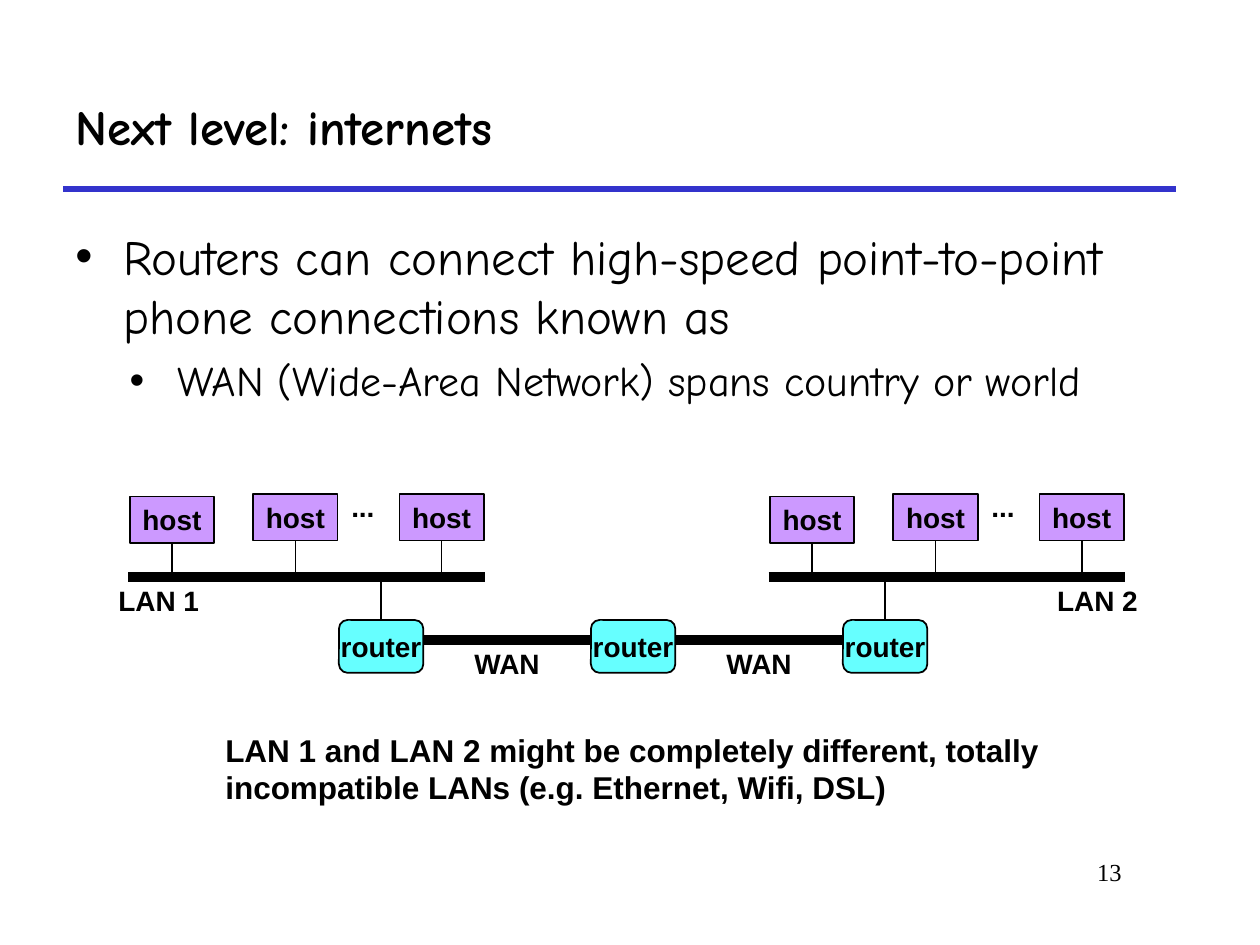
from pptx import Presentation
from pptx.dml.color import RGBColor
from pptx.enum.shapes import MSO_CONNECTOR, MSO_SHAPE
from pptx.enum.text import MSO_ANCHOR, PP_ALIGN
from pptx.oxml.ns import qn
from pptx.util import Inches, Pt
from lxml import etree

LEFT, CENTER, RIGHT = PP_ALIGN.LEFT, PP_ALIGN.CENTER, PP_ALIGN.RIGHT
TOP, MIDDLE = MSO_ANCHOR.TOP, MSO_ANCHOR.MIDDLE
RECT, ROUND = MSO_SHAPE.RECTANGLE, MSO_SHAPE.ROUNDED_RECTANGLE
STRAIGHT = MSO_CONNECTOR.STRAIGHT

THEME = {
    "ink": "000000", "rule": "3333CC", "host": "CC99FF", "router": "66FFFF",
    "head": "Comic Neue", "label": "Arial", "number": "Times New Roman",
    "title": 28, "body": 28, "sub": 24, "note": 18, "small": 16, "page": 14,
    "thin": 1, "mid": 3, "thick": 6,
}

TITLE = "Next level: internets"
# text, size, left indent, space before
POINTS = [
    ("Routers can connect high-speed point-to-point phone connections known as",
     THEME["body"], 0.38, 0),
    ("WAN (Wide-Area Network) spans country or world", THEME["sub"], 0.81, 6),
]
NOTE = ("LAN 1 and LAN 2 might be completely different, totally "
        "incompatible LANs (e.g. Ethernet, Wifi, DSL)")
PAGE = "13"
# name, left end of the bus, left of the name
LANS = [("LAN 1", 1.02, 0.84), ("LAN 2", 6.1, 8.29)]
# left from the bus end, top
HOSTS = [(0.01, 3.94), (0.99, 3.92), (2.15, 3.92)]
ROUTERS = [2.69, 4.69, 6.69]
LINKED = [ROUTERS[0], ROUTERS[-1]]

BOX_W, HOST_H, ROUTER_H = 0.67, 0.37, 0.42
BUS_W, BUS_Y = 2.83, 4.58
ROUTER_Y, WAN_Y = 4.92, 5.08
HANG = 0.38

deck = Presentation()
deck.slide_width, deck.slide_height = Inches(10), Inches(7.5)
slide = deck.slides.add_slide(deck.slide_layouts[6])


def color(name):
    return RGBColor.from_string(THEME[name])


def write(frame, text, size="small", font="label", bold=True,
          align=CENTER, anchor=MIDDLE, wrap=False):
    """Fill a frame; labels that do not wrap use its full width."""
    frame.word_wrap = wrap
    if not wrap:
        frame.margin_left = frame.margin_right = 0
    frame.vertical_anchor = anchor
    para = frame.paragraphs[0]
    para.alignment = align
    style(para, text, THEME[size], font, bold)


def style(para, text, size, font, bold):
    run = para.add_run()
    run.text = text
    run.font.name, run.font.size = THEME[font], Pt(size)
    run.font.bold = bold
    run.font.color.rgb = color("ink")


def area(left, top, width, height):
    box = slide.shapes.add_textbox(*map(Inches, (left, top, width, height)))
    return box.text_frame


def line(x1, y1, x2, y2, width="thin", tint="ink"):
    wire = slide.shapes.add_connector(STRAIGHT, *map(Inches, (x1, y1, x2, y2)))
    wire.line.color.rgb = color(tint)
    wire.line.width = Pt(THEME[width])
    etree.SubElement(wire.element.spPr, qn("a:effectLst"))


def node(kind, text, left, top, height, tint):
    shape = slide.shapes.add_shape(
        kind, *map(Inches, (left, top, BOX_W, height)))
    shape.shadow.inherit = False
    shape.fill.solid()
    shape.fill.fore_color.rgb = color(tint)
    shape.line.color.rgb = color("ink")
    shape.line.width = Pt(THEME["thin"])
    write(shape.text_frame, text)


def bullet(para, indent):
    """Give the paragraph a round bullet with a hanging indent."""
    props = para._p.get_or_add_pPr()
    props.set("marL", str(Inches(indent)))
    props.set("indent", str(-Inches(HANG)))
    tint = etree.SubElement(props, qn("a:buClr"))
    etree.SubElement(tint, qn("a:srgbClr"), val=THEME["ink"])
    etree.SubElement(props, qn("a:buFont"), typeface=THEME["label"])
    etree.SubElement(props, qn("a:buChar"), char="•")


def add_points():
    frame = area(0.5, 1.75, 9.08, 1.8)
    frame.word_wrap = True
    for i, (text, size, indent, gap) in enumerate(POINTS):
        para = frame.add_paragraph() if i else frame.paragraphs[0]
        para.level = i
        para.space_before = Pt(gap)
        bullet(para, indent)
        style(para, text, size, "head", False)


def add_lan(name, left, name_x):
    line(left, BUS_Y, left + BUS_W, BUS_Y, "thick")
    for step, top in HOSTS:
        mid = left + step + BOX_W / 2
        line(mid, top + HOST_H, mid, BUS_Y)
        node(RECT, "host", left + step, top, HOST_H, "host")
    write(area(name_x, BUS_Y, 0.84, HOST_H), name)
    write(area(left + 1.67, 3.83, 0.38, HOST_H), "...")


def add_wan():
    for left in LINKED:
        mid = left + BOX_W / 2
        line(mid, BUS_Y, mid, ROUTER_Y)
    for left, right in zip(ROUTERS, ROUTERS[1:]):
        start = left + BOX_W
        line(start, WAN_Y, right, WAN_Y, "thick")
        write(area((start + right - 0.73) / 2, WAN_Y, 0.73, HOST_H), "WAN")
    for left in ROUTERS:
        node(ROUND, "router", left, ROUTER_Y, ROUTER_H, "router")


line(0.5, 1.5, 9.33, 1.5, "mid", "rule")
write(area(0.5, 0.5, 8.83, 1), TITLE, size="title", font="head",
      align=LEFT, wrap=True)
add_points()
for lan in LANS:
    add_lan(*lan)
add_wan()
write(area(1.69, 5.75, 6.9, 0.7), NOTE, size="note", align=LEFT,
      anchor=TOP, wrap=True)
write(area(7.58, 6.75, 1.42, 0.5), PAGE, size="page", font="number",
      bold=False, align=RIGHT, anchor=TOP, wrap=True)

deck.save("out.pptx")
